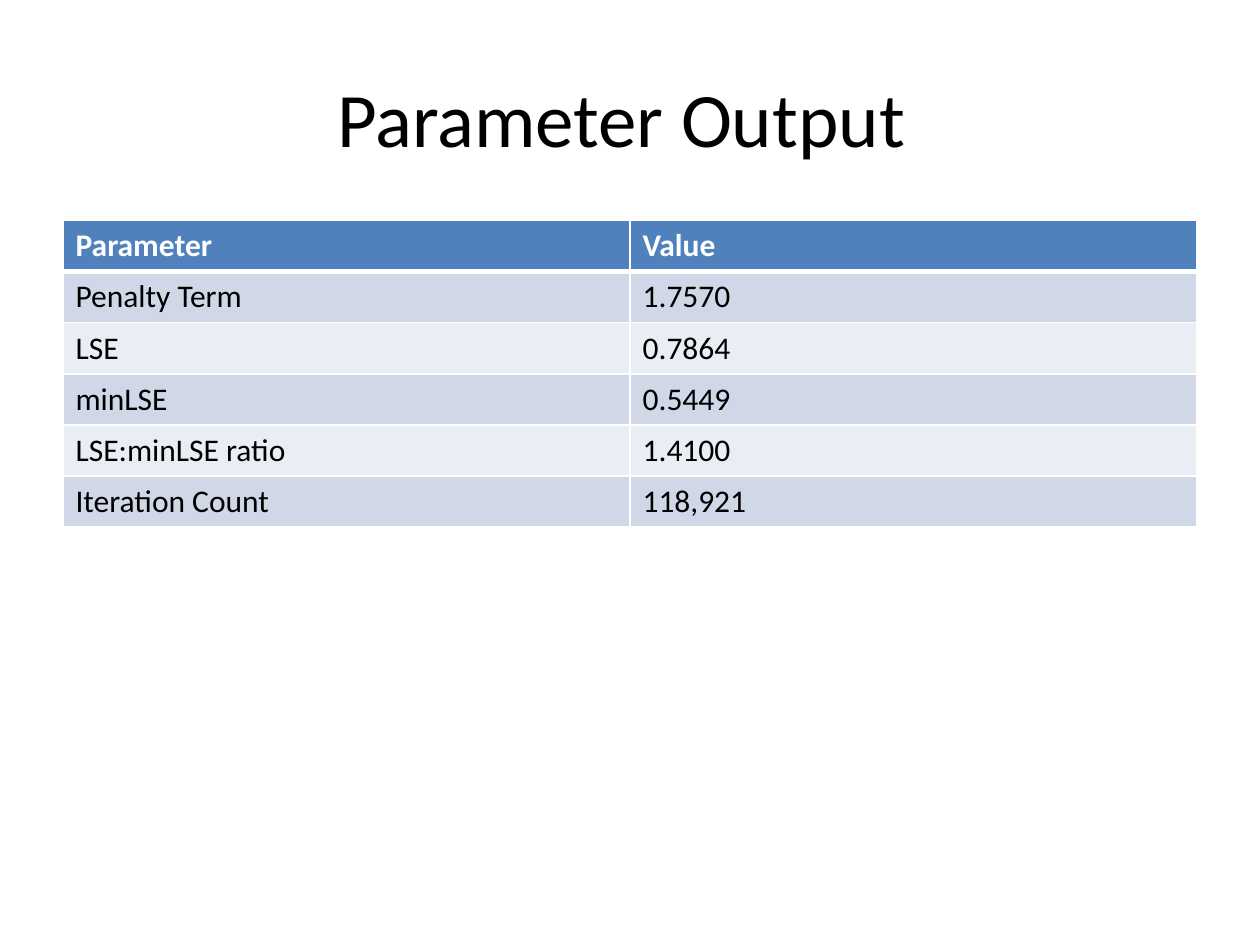
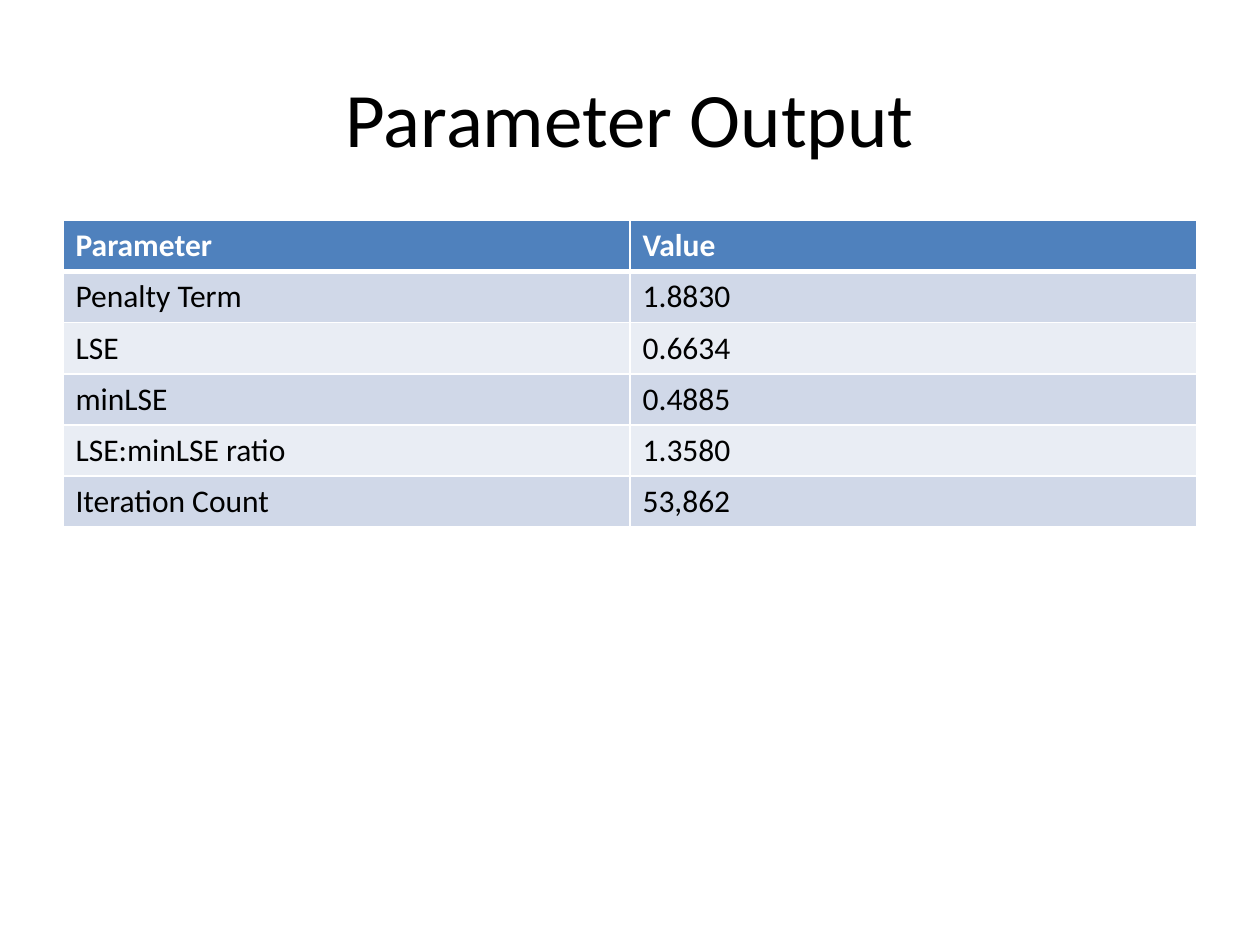
"""Build two slides that tabulate the parameter output of two runs."""
from lxml import etree
from pptx import Presentation
from pptx.dml.color import RGBColor
from pptx.enum.text import MSO_ANCHOR, PP_ALIGN
from pptx.oxml.ns import qn
from pptx.util import Inches, Pt

CENTER = PP_ALIGN.CENTER
MIDDLE = MSO_ANCHOR.MIDDLE
BLACK = RGBColor(0x00, 0x00, 0x00)
WHITE = RGBColor(0xFF, 0xFF, 0xFF)
HEADER_BLUE = RGBColor(0x4F, 0x81, 0xBD)
BANDS = [RGBColor(0xE9, 0xED, 0xF4), RGBColor(0xD0, 0xD8, 0xE8)]
FONT = "Calibri"

LABELS = ["Parameter", "Penalty Term", "LSE", "minLSE", "LSE:minLSE ratio", "Iteration Count"]
RUNS = [
    ("Parameter Output ", ["Value", "1.7570", "0.7864", "0.5449", "1.4100", "118,921"]),
    ("Parameter Output", ["Value", "1.8830", "0.6634", "0.4885", "1.3580", "53,862"]),
]


def style_font(p, size, color, bold=False):
    p.font.name = FONT
    p.font.size = Pt(size)
    p.font.color.rgb = color
    p.font.bold = bold


def add_border(cell, side, width):
    ln = etree.SubElement(cell._tc.get_or_add_tcPr(), qn(f"a:ln{side}"), w=str(Pt(width)))
    fill = etree.SubElement(ln, qn("a:solidFill"))
    etree.SubElement(fill, qn("a:srgbClr"), val=str(WHITE))


prs = Presentation()
prs.slide_width = Inches(10)
prs.slide_height = Inches(7.5)

for heading, values in RUNS:
    s = prs.slides.add_slide(prs.slide_layouts[5])
    title = s.shapes.title
    title.left, title.top = Inches(0.5), Inches(0.3)
    title.width, title.height = Inches(9), Inches(1.25)
    tf = title.text_frame
    tf.text = heading
    tf.vertical_anchor = MIDDLE
    p = tf.paragraphs[0]
    p.alignment = CENTER
    style_font(p, 44, BLACK)

    table = s.shapes.add_table(len(LABELS), 2, Inches(0.5), Inches(1.75),
                               Inches(9), Inches(2.43)).table
    for row, texts in enumerate(zip(LABELS, values)):
        header = row == 0
        for col, text in enumerate(texts):
            cell = table.cell(row, col)
            cell.text = text
            style_font(cell.text_frame.paragraphs[0], 18, WHITE if header else BLACK, header)
            for side in "LRTB":
                thick = (row, side) in [(0, "B"), (1, "T")]
                add_border(cell, side, 3 if thick else 1)
            cell.fill.solid()
            cell.fill.fore_color.rgb = HEADER_BLUE if header else BANDS[row % 2]

prs.save("out.pptx")
